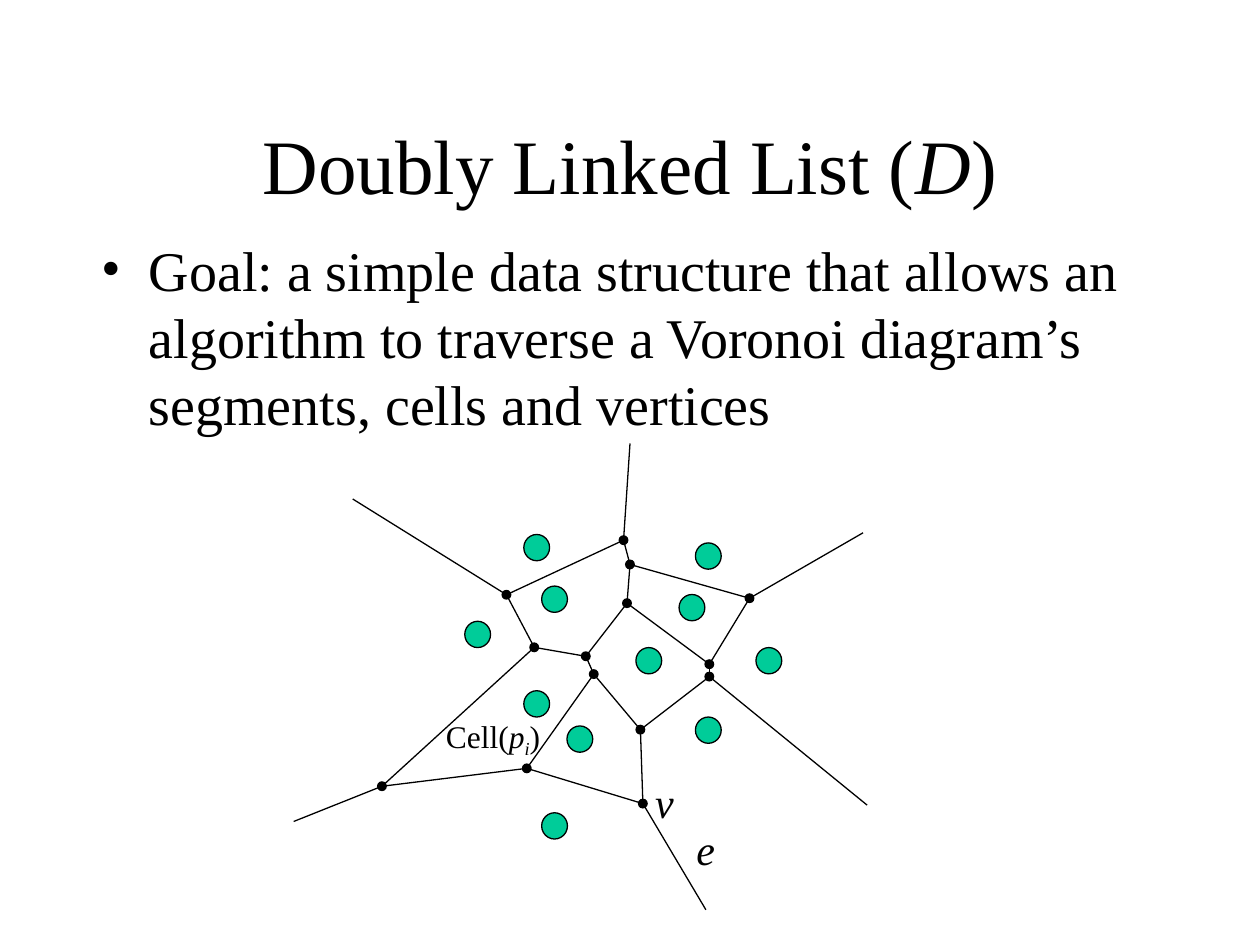
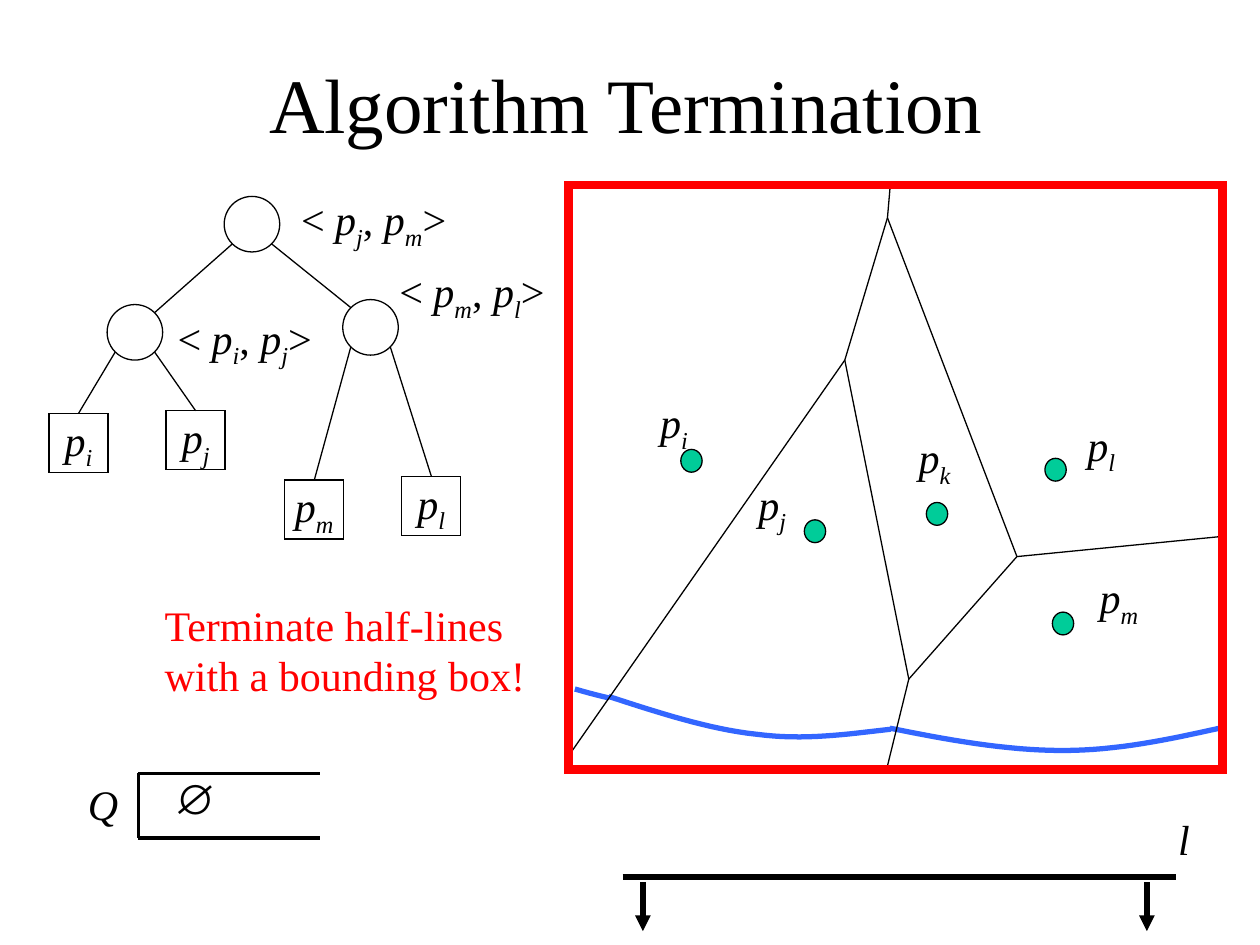
"""Builds two lecture slides on Voronoi diagrams and the sweep-line algorithm."""
from lxml import etree
from pptx import Presentation
from pptx import util as u
from pptx.dml.color import RGBColor
from pptx.enum import shapes, text
from pptx.oxml.ns import qn

BLACK = RGBColor(0x00, 0x00, 0x00)
GREEN = RGBColor(0x00, 0xCC, 0x99)
BLUE = RGBColor(0x33, 0x66, 0xFF)
RED = RGBColor(0xFF, 0x00, 0x00)
SERIF = "Times New Roman"
ITALIC = {"italic": True}
SUB = {"italic": True, "baseline": -25000}
BREAK = ("\v", {})

VERTICES = {
    "a": (4.29, 3.05), "b": (4.85, 4.11), "c": (1.78, 6.91), "d": (4.7, 6.55),
    "e": (7.04, 7.26), "f": (5.89, 4.29), "g": (6.05, 4.65), "h": (6.99, 5.77),
    "i": (8.38, 4.7), "j": (8.38, 4.45), "k": (6.72, 3.22), "l": (6.78, 2.44),
    "m": (6.65, 1.95), "n": (9.19, 3.12),
}
EDGES = "ab bc cd dg bf fg fk kj gh de eh kl am ij lm ln jn hi".split()
RAYS = {"a": (1.19, 1.12), "c": (0, 7.62), "e": (8.31, 9.4),
        "i": (11.56, 7.29), "n": (11.48, 1.8), "m": (6.78, 0)}
SITES = [(5.26, 7.71), (5.77, 5.96), (7.16, 4.38), (8.36, 5.78), (9.58, 4.38), (8.03, 3.31),
         (8.36, 2.27), (4.9, 5.25), (3.71, 3.85), (5.26, 3.14), (4.9, 2.1)]


def term(index):
    """Return the runs of a point name with its subscript."""
    return [("p", ITALIC), (index, SUB)]


def pair(first, second):
    """Return the runs of a breakpoint such as < pi, pj>."""
    return [("< ", {}), *term(first), (", ", {}), *term(second), (">", {})]


def write(tf, runs, size, color=BLACK, name=SERIF, align=text.PP_ALIGN.LEFT):
    """Fill the first paragraph of a frame with formatted runs."""
    p = tf.paragraphs[0]
    p.alignment = align
    for content, fmt in runs:
        if content == "\v":
            p.add_line_break()
            continue
        r = p.add_run()
        r.text = content
        values = {"size": u.Pt(size), "name": name, **fmt}
        baseline = values.pop("baseline", None)
        for key, value in values.items():
            setattr(r.font, key, value)
        r.font.color.rgb = color
        if baseline:
            r._r.get_or_add_rPr().set("baseline", str(baseline))
    return p


def label(s, x, y, w, h, runs, size=24, **fmt):
    """Add an unwrapped text box."""
    sp = s.shapes.add_textbox(u.Cm(x), u.Cm(y), u.Cm(w), u.Cm(h))
    sp.text_frame.word_wrap = False
    sp.text_frame.auto_size = text.MSO_AUTO_SIZE.SHAPE_TO_FIT_TEXT
    write(sp.text_frame, runs, size, **fmt)


def outline(sp, color=BLACK, width=0.75, fill=None):
    """Set the mitred line and the fill of a shape and drop its shadow."""
    sp.shadow.inherit = False
    if fill is None:
        sp.fill.background()
    else:
        sp.fill.solid()
        sp.fill.fore_color.rgb = fill
    sp.line.color.rgb = color
    sp.line.width = u.Pt(width)
    etree.SubElement(sp._element.spPr.find(qn("a:ln")), qn("a:miter"), lim="800000")
    return sp


def disc(s, cx, cy, w, h, fill=None):
    """Add an ellipse around a centre."""
    sp = s.shapes.add_shape(shapes.MSO_SHAPE.OVAL, u.Cm(cx - w / 2), u.Cm(cy - h / 2),
                            u.Cm(w), u.Cm(h))
    return outline(sp, fill=fill)


def line(s, start, end, width=0.75, arrow=False):
    """Add a straight black connector, with an arrowhead on request."""
    c = s.shapes.add_connector(shapes.MSO_CONNECTOR.STRAIGHT,
                               *(u.Cm(v) for v in (*start, *end)))
    c.line.color.rgb = BLACK
    c.line.width = u.Pt(width)
    sp_pr = c._element.spPr
    if arrow:
        etree.SubElement(sp_pr.find(qn("a:ln")), qn("a:tailEnd"), type="triangle")
    etree.SubElement(sp_pr, qn("a:effectLst"))
    return c


def bezier(points, steps=16):
    """Sample a chain of cubic curves given by its control points."""
    result = [points[0]]
    for n in range(0, len(points) - 1, 3):
        for k in range(1, steps + 1):
            t = k / steps
            weights = ((1 - t) ** 3, 3 * t * (1 - t) ** 2, 3 * t * t * (1 - t), t ** 3)
            result.append(tuple(sum(w * pt[axis] for w, pt in zip(weights, points[n:n + 4]))
                                for axis in (0, 1)))
    return result


def shifter(left, top):
    """Return a function that moves a point into a region."""
    return lambda point: (left + point[0], top + point[1])


def titled_slide(prs, left, top, runs):
    """Add a title-only slide with its title placed and formatted."""
    s = prs.slides.add_slide(prs.slide_layouts[5])
    title = s.shapes.title
    box = {"left": left, "top": top, "width": 21.59, "height": 3.18}
    for key, value in box.items():
        setattr(title, key, u.Cm(value))
    title.text_frame.vertical_anchor = text.MSO_ANCHOR.MIDDLE
    write(title.text_frame, runs, 44, align=text.PP_ALIGN.CENTER)
    return s


def goal(s, left, top, width, height):
    """Add the bulleted goal statement."""
    sp = s.shapes.add_textbox(u.Cm(left), u.Cm(top), u.Cm(width), u.Cm(height))
    tf = sp.text_frame
    tf.word_wrap = True
    p = write(tf, [("Goal: a simple data structure that allows an algorithm to traverse "
                    "a Voronoi diagram’s segments, cells and vertices", {})], 32)
    p_pr = p._p.get_or_add_pPr()
    p_pr.set("marL", str(u.Cm(0.95)))
    p_pr.set("indent", str(-u.Cm(0.95)))
    etree.SubElement(p_pr, qn("a:buFont"), typeface=SERIF)
    etree.SubElement(p_pr, qn("a:buChar"), char="•")


def voronoi(s, left, top):
    """Draw the Voronoi diagram with its edges, vertices, sites and labels."""
    at = shifter(left, top)
    for start, end in EDGES:
        line(s, at(VERTICES[start]), at(VERTICES[end]))
    for start, end in RAYS.items():
        line(s, at(VERTICES[start]), at(end))
    for vertex in VERTICES.values():
        disc(s, *at(vertex), 0.2, 0.2, BLACK).line.fill.background()
    for site in SITES:
        disc(s, *at(site), 0.52, 0.53, GREEN)
    label(s, *at((7.87, 7.54)), 0.89, 1.27, [("e", ITALIC)])
    label(s, *at((7.04, 6.58)), 0.89, 1.27, [("v", ITALIC)])
    label(s, *at((2.82, 5.38)), 2.45, 1.12, [("Cell(", {}), *term("i"), (")", {})], 18)


def beach_tree(s, left, top):
    """Draw the search tree with breakpoints inside and arcs as leaves."""
    at = shifter(left, top)
    size, corner, side = 1.12, 0.4, 1.19
    nodes = {"root": (4.09, 0.56), "west": (1.73, 2.74), "east": (6.48, 2.64)}
    leaves = [("west", -1, "i", (0, 4.37)), ("west", 1, "j", (2.36, 4.32)),
              ("east", -1, "m", (4.75, 5.72)), ("east", 1, "l", (7.11, 5.64))]
    names = [(("j", "m"), (4.83, -0.18), 3.5), (("i", "j"), (2.34, 2.21), 3.35),
             (("m", "l"), (6.81, 1.27), 3.5)]

    def rim(node, dx, dy):
        """Return the diagonal point on the rim of a node."""
        x, y = at(nodes[node])
        return x + dx * corner, y + dy * corner

    for center in nodes.values():
        disc(s, *at(center), size, size)
    for child, turn in (("west", -1), ("east", 1)):
        line(s, rim("root", turn, 1), rim(child, -turn, -1))
    for parent, turn, index, corner_at in leaves:
        x, y = at(corner_at)
        leaf = outline(s.shapes.add_shape(shapes.MSO_SHAPE.RECTANGLE, u.Cm(x), u.Cm(y),
                                          u.Cm(side), u.Cm(side)))
        leaf.text_frame.word_wrap = False
        leaf.text_frame.vertical_anchor = text.MSO_ANCHOR.MIDDLE
        write(leaf.text_frame, term(index), 24, align=text.PP_ALIGN.CENTER)
        line(s, rim(parent, turn, 1), (x + side / 2, y)).end_connect(leaf, 0)
    for indices, place, width in names:
        label(s, *at(place), width, 1.42, pair(*indices))


def bounded_plane(s, left, top, width, height):
    """Draw the sites, half-lines and beach line inside the bounding box."""
    at = shifter(left, top)
    sites = {"m": ((9.97, 8.84), (10.46, 7.67), 1.4), "k": ((7.43, 6.63), (6.81, 4.85), 1.2),
             "l": ((9.82, 5.74), (10.21, 4.6), 1.1), "j": ((4.97, 6.98), (3.58, 5.79), 1.1),
             "i": ((2.48, 5.56), (1.6, 4.14), 1.1)}
    peak, fork, low, bend = (6.43, 0.66), (5.57, 3.53), (6.86, 9.96), (9.04, 7.49)
    edges = [((0, 11.51), fork), (fork, low), (bend, low), (bend, (13.11, 7.09)),
             (peak, bend), (peak, fork), (low, (6.43, 11.71)), (peak, (6.48, 0.08))]
    waves = [
        [(6.48, 10.95), (7.62, 11.18), (8.81, 11.4), (9.96, 11.4),
         (11.07, 11.4), (12.09, 11.18), (13.13, 10.95)],
        [(0.81, 10.31), (1.83, 10.64), (2.84, 10.97), (3.78, 11.07),
         (4.75, 11.2), (5.61, 11.07), (6.5, 10.97)],
        [(0.81, 10.34), (0.81, 10.34), (0.46, 10.26), (0.13, 10.16)],
    ]
    for index, (center, place, label_width) in sites.items():
        disc(s, *at(center), 0.43, 0.46, GREEN)
        label(s, *at(place), label_width, 1.42, term(index))
    for wave in waves:
        points = [tuple(u.Cm(v) for v in at(pt)) for pt in bezier(wave)]
        builder = s.shapes.build_freeform(*points[0])
        builder.add_line_segments(points[1:], close=False)
        outline(builder.convert_to_shape(), BLUE, 3)
    for start, end in edges:
        line(s, at(start), at(end))
    frame = s.shapes.add_shape(shapes.MSO_SHAPE.RECTANGLE, u.Cm(left), u.Cm(top),
                               u.Cm(width), u.Cm(height))
    outline(frame, RED, 5)


def sweep_line(s, left, top, width):
    """Draw the sweep line with its two arrows."""
    at = shifter(left, top)
    line(s, at((0, 1.4)), at((width, 1.4)), 3)
    for x in (0.41, width - 0.58):
        line(s, at((x, 1.5)), at((x, 2.49)), 3, arrow=True)
    label(s, *at((width - 0.2, 0)), 0.76, 1.27, [("l", ITALIC)])


def event_queue(s, left, top):
    """Draw the empty event queue."""
    at = shifter(left, top)
    start, end, upper, lower = 1.27, 4.93, 0.15, 1.45
    for y in (upper, lower):
        line(s, at((start, y)), at((end, y)), 2)
    line(s, at((start, upper)), at((start, lower)), 2)
    label(s, *at((0, 0.13)), 1.15, 1.27, [("Q", ITALIC)])
    label(s, *at((1.75, 0)), 1.2, 1.27, [("∅", {})], name="Arial")


def main():
    """Build and save the presentation."""
    prs = Presentation()
    prs.slide_width, prs.slide_height = u.Cm(25.4), u.Cm(19.05)

    s = titled_slide(prs, 1.9, 1.7, [("Doubly Linked List (", {}), ("D", ITALIC), (")", {})])
    goal(s, 1.8, 4.62, 21.59, 4.88)
    voronoi(s, 5.92, 8.94)

    s = titled_slide(prs, 1.83, 0.48, [("Algorithm Termination", {})])
    beach_tree(s, 0.99, 3.96)
    bounded_plane(s, 11.46, 3.73, 13.18, 11.79)
    sweep_line(s, 12.55, 16.28, 11.15)
    event_queue(s, 1.52, 15.44)
    label(s, 3.07, 11.96, 7.8, 2.29,
          [("Terminate half-lines", {}), BREAK, ("with a bounding box!", {})], color=RED)

    prs.save("out.pptx")


if __name__ == "__main__":
    main()
